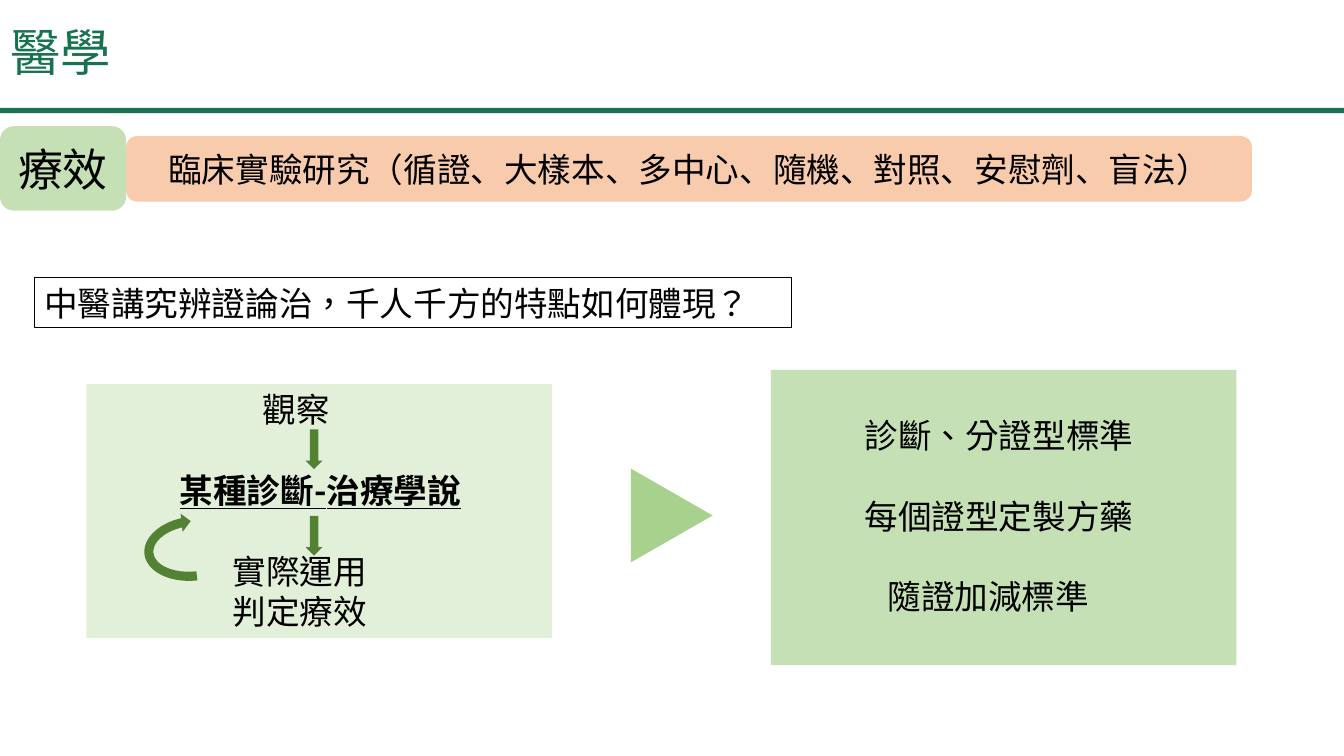
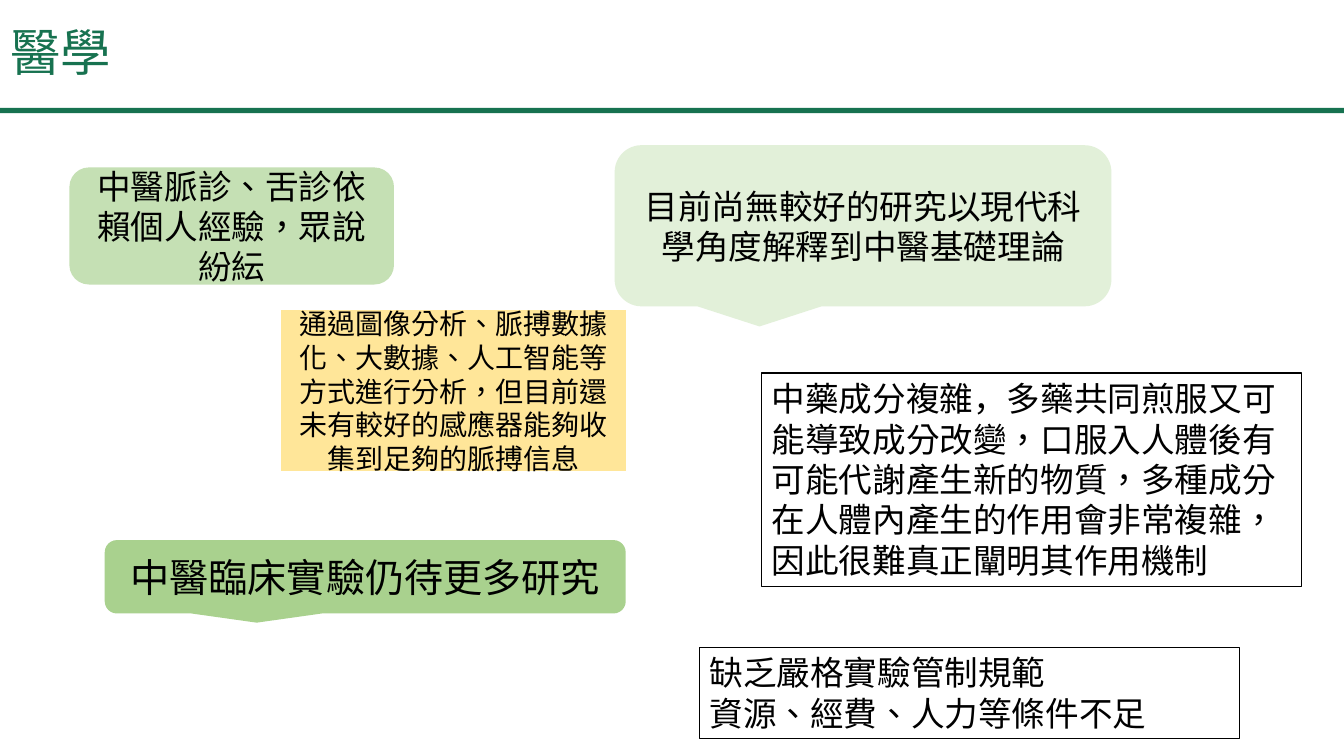
"""Build two slides on testing Chinese medicine with modern research methods."""
import dataclasses

import lxml.etree
import pptx
import pptx.dml.color
import pptx.enum.shapes
import pptx.enum.text
import pptx.oxml.ns
import pptx.util

Cm = pptx.util.Cm
Pt = pptx.util.Pt
Kind = pptx.enum.shapes.MSO_SHAPE
Align = pptx.enum.text.PP_ALIGN
Anchor = pptx.enum.text.MSO_ANCHOR


@dataclasses.dataclass(frozen=True)
class Theme:
    """Colours, font and type sizes of the deck."""
    font: str = "Noto Sans CJK SC"
    brand: str = "177250"
    ink: str = "000000"
    pale: str = "E2F0D9"
    soft: str = "C5E0B4"
    mid: str = "A9D18E"
    deep: str = "548235"
    peach: str = "F8CBAD"
    yellow: str = "FFE699"
    title: int = 36
    label: int = 32
    lead: int = 28
    body: int = 24
    small: int = 20
    outline: float = 0.75


@dataclasses.dataclass(frozen=True)
class Span:
    """A run of text with its language and emphasis."""
    text: str
    lang: str = "zh-TW"
    strong: bool = False


@dataclasses.dataclass(frozen=True)
class Line:
    """A paragraph with its indent in cm and the gap above it in points."""
    spans: tuple
    indent: float = 0
    gap: float = 0


@dataclasses.dataclass(frozen=True)
class Part:
    """A shape; without a fill it is an outlined box."""
    kind: Kind
    at: tuple
    fill: str = ""
    lines: tuple = ()
    size: int = 24
    centred: bool = True
    top: float = 0.13
    turn: float = 0
    adjust: tuple = ()


def line(text, indent=0, gap=0, **style):
    """Return a paragraph holding one run."""
    return Line((Span(text, **style),), indent, gap)


def note(at, *lines):
    """Return an outlined box with left-aligned text."""
    return Part(Kind.RECTANGLE, at, lines=lines, centred=False)


THEME = Theme()
PAGE = (33.87, 19.05)
BAR = Part(Kind.RECTANGLE, (-0.13, 2.72, 34, 0.13), THEME.brand)
TITLE_AT = (0, 0.05, 29.21, 2.67)
ONE_LINE = 28.8

CLINICAL = [
    Part(Kind.ROUNDED_RECTANGLE, (0, 3.18, 3.18, 2.13), THEME.soft,
         (line("療效"),), THEME.label),
    Part(Kind.ROUNDED_RECTANGLE, (3.18, 3.43, 28.37, 1.65), THEME.peach,
         (line("臨床實驗研究（循證、大樣本、多中心、隨機、對照、安慰劑、盲法）",
               lang="zh-CN"),)),
    Part(Kind.RECTANGLE, (2.18, 9.68, 11.73, 6.4), THEME.pale,
         (line("觀察", 4.19),
          line("某種診斷-治療學說", 2.1, ONE_LINE, strong=True),
          line("實際運用", 3.43, ONE_LINE),
          line("判定療效", 3.43)), centred=False),
    *(Part(Kind.DOWN_ARROW, (7.7, top, 0.43, 1), THEME.deep)
      for top in (10.82, 13)),
    Part(Kind.CIRCULAR_ARROW, (3.96, 12.45, 1.85, 2.74), THEME.deep,
         turn=263.6),
    note((0.86, 6.99, 19.1, 1.27),
         line("中醫講究辨證論治，千人千方的特點如何體現？")),
    Part(Kind.RECTANGLE, (19.43, 9.32, 11.73, 7.44), THEME.soft,
         (line("診斷、分證型標準", 2.11),
          line("每個證型定製方藥", 2.11, ONE_LINE),
          line("隨證加減標準", 2.69, ONE_LINE)), centred=False, top=1.14),
    Part(Kind.ISOSCELES_TRIANGLE, (15.75, 11.96, 2.36, 2.06), THEME.mid,
         turn=90),
]

LIMITS = [
    Part(Kind.ROUNDED_RECTANGULAR_CALLOUT, (15.49, 3.66, 12.52, 4.06),
         THEME.pale, (line("目前尚無較好的研究以現代科學角度解釋到中醫基礎理論"),)),
    note((19.2, 9.4, 13.61, 5.38),
         Line((Span("中藥成分複雜，", "zh-CN"),
               Span("多藥共同煎服又可能導致成分改變，口服入人體後有可能代謝產生"
                    "新的物質，多種成分在人體內產生的作用會非常複雜，"
                    "因此很難真正闡明其作用機制")))),
    Part(Kind.ROUNDED_RECTANGLE, (1.75, 4.22, 8.18, 2.95), THEME.soft,
         (line("中醫脈診、舌診依賴個人經驗，眾說紛紜"),)),
    Part(Kind.ROUNDED_RECTANGULAR_CALLOUT, (2.64, 13.61, 13.13, 1.85),
         THEME.mid, (line("中醫臨床實驗仍待更多研究"),), THEME.lead),
    note((17.63, 16.31, 13.61, 2.31),
         line("缺乏嚴格實驗管制規範"),
         line("資源、經費、人力等條件不足")),
    Part(Kind.LINE_CALLOUT_1, (7.09, 7.82, 8.69, 4.06), THEME.yellow,
         (line("通過圖像分析、脈搏數據化、大數據、人工智能等方式進行分析，"
               "但目前還未有較好的感應器能夠收集到足夠的脈搏信息"),),
         THEME.small, adjust=(0.08, -0.23, 1.13, -0.38)),
]

PAGES = [("醫學", CLINICAL), ("醫學", LIMITS)]


def rgb(code):
    """Turn a hex code into a colour."""
    return pptx.dml.color.RGBColor.from_string(code)


def add_span(para, content, size, colour):
    """Add one formatted run with its East Asian font and language."""
    span = para.add_run()
    span.text = content.text
    font = span.font
    font.name = THEME.font
    font.size = Pt(size)
    font.color.rgb = rgb(colour)
    font.bold = font.underline = content.strong
    props = span._r.get_or_add_rPr()
    props.set("lang", content.lang)
    latin = props.find(pptx.oxml.ns.qn("a:latin"))
    east = lxml.etree.Element(pptx.oxml.ns.qn("a:ea"), typeface=THEME.font)
    latin.addnext(east)


def write_lines(frame, part):
    """Fill a text frame with the paragraphs of a part."""
    frame.word_wrap = True
    frame.margin_top = Cm(part.top)
    frame.vertical_anchor = Anchor.MIDDLE if part.centred else Anchor.TOP
    for index, content in enumerate(part.lines):
        para = frame.add_paragraph() if index else frame.paragraphs[0]
        para.alignment = Align.CENTER if part.centred else Align.LEFT
        para.space_before = Pt(content.gap)
        if content.indent:
            props = para._p.get_or_add_pPr()
            props.set("marL", str(Cm(content.indent)))
            props.set("indent", "0")
        for span in content.spans:
            add_span(para, span, part.size, THEME.ink)


def add_part(page, part):
    """Draw one part and return its shape."""
    box = page.shapes.add_shape(part.kind, *map(Cm, part.at))
    box.shadow.inherit = False
    box.rotation = part.turn
    for index, value in enumerate(part.adjust):
        box.adjustments[index] = value
    if part.fill:
        box.fill.solid()
        box.fill.fore_color.rgb = rgb(part.fill)
        box.line.fill.background()
    else:
        box.fill.background()
        box.line.color.rgb = rgb(THEME.ink)
        box.line.width = Pt(THEME.outline)
    if part.lines:
        write_lines(box.text_frame, part)
    return box


def write_title(page, text):
    """Place and format the title placeholder."""
    title = page.shapes.title
    title.left, title.top, title.width, title.height = map(Cm, TITLE_AT)
    title.text_frame.vertical_anchor = Anchor.MIDDLE
    para = title.text_frame.paragraphs[0]
    para.alignment = Align.LEFT
    para.line_spacing = 0.9
    add_span(para, Span(text), THEME.title, THEME.brand)


def main():
    """Build and save the deck."""
    deck = pptx.Presentation()
    deck.slide_width, deck.slide_height = map(Cm, PAGE)
    layout = deck.slide_layouts.get_by_name("Title Only")
    for index, (title, parts) in enumerate(PAGES):
        page = deck.slides.add_slide(layout)
        if index == 0:
            layout.shapes.element.append(add_part(page, BAR).element)
        write_title(page, title)
        for part in parts:
            add_part(page, part)
    deck.save("out.pptx")


if __name__ == "__main__":
    main()
